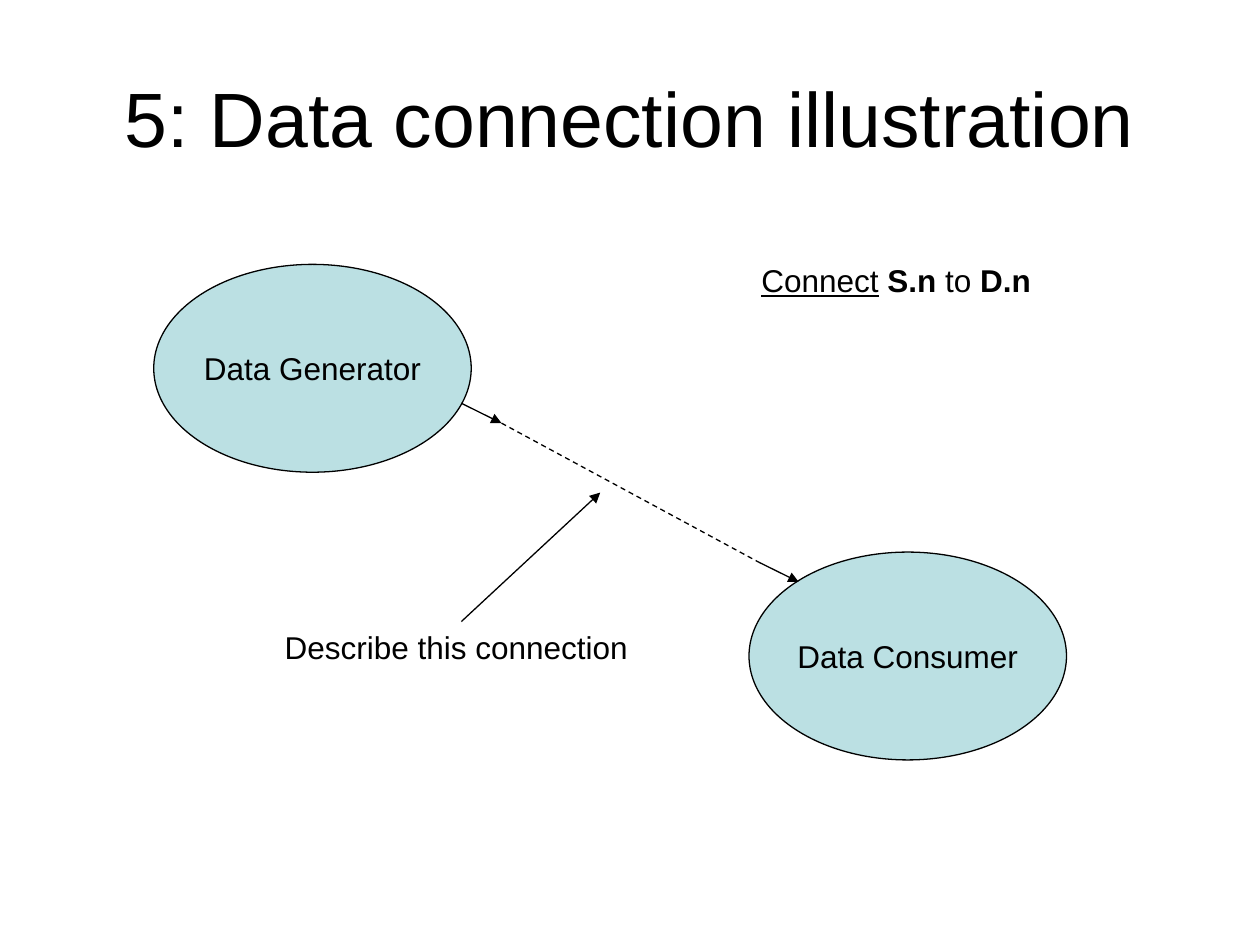
from itertools import pairwise

from lxml.etree import SubElement
from pptx import Presentation
from pptx.dml.color import RGBColor
from pptx.enum.dml import MSO_LINE
from pptx.enum.shapes import MSO_CONNECTOR, MSO_SHAPE
from pptx.enum.text import MSO_ANCHOR, PP_ALIGN
from pptx.oxml.ns import qn
from pptx.util import Cm, Pt

COLORS = {"ink": "000000", "node": "BBE0E3"}
FONT = "Arial"
NODE_SIZE = (6.4, 4.19)


def color(name):
    """Return the named palette colour."""
    return RGBColor.from_string(COLORS[name])


def write(frame, runs, size=18, align=PP_ALIGN.LEFT, anchor=MSO_ANCHOR.TOP, wrap=True):
    """Fill a text frame with (wording, style) runs."""
    frame.word_wrap = wrap
    frame.vertical_anchor = anchor
    paragraph = frame.paragraphs[0]
    paragraph.alignment = align
    for wording, style in runs:
        run = paragraph.add_run()
        run.text = wording
        font = run.font
        font.name, font.size = FONT, Pt(size)
        font.color.rgb = color("ink")
        font.bold = style == "bold"
        font.underline = style == "underline"


def add_label(slide, left, top, width, height, runs, **layout):
    """Place a text box of styled runs."""
    label = slide.shapes.add_textbox(Cm(left), Cm(top), Cm(width), Cm(height))
    write(label.text_frame, runs, **layout)


def add_node(slide, left, top, name):
    """Place a named ellipse."""
    node = slide.shapes.add_shape(
        MSO_SHAPE.OVAL, Cm(left), Cm(top), *map(Cm, NODE_SIZE)
    )
    node.shadow.inherit = False
    node.fill.solid()
    node.fill.fore_color.rgb = color("node")
    node.line.color.rgb = color("ink")
    node.line.width = Pt(0.75)
    write(node.text_frame, [(name, None)], align=PP_ALIGN.CENTER,
          anchor=MSO_ANCHOR.MIDDLE, wrap=False)


def add_link(slide, start, end, dashed=False):
    """Draw a dashed line, or a solid one ending in an arrowhead."""
    link = slide.shapes.add_connector(
        MSO_CONNECTOR.STRAIGHT, *map(Cm, (*start, *end))
    )
    link.line.color.rgb = color("ink")
    link.line.width = Pt(0.75)
    if dashed:
        link.line.dash_style = MSO_LINE.DASH
    else:
        SubElement(link.line._get_or_add_ln(), qn("a:tailEnd"), type="triangle")
    SubElement(link._element.spPr, qn("a:effectLst"))


def add_title(slide, left, top, width, height):
    """Place the slide title in its box."""
    add_label(slide, left, top, width, height,
              [("5: Data connection illustration", None)], size=44,
              align=PP_ALIGN.CENTER, anchor=MSO_ANCHOR.MIDDLE)


def add_diagram(slide, left, top):
    """Place the nodes, their connection and its labels from a corner."""
    def at(x, y):
        """Shift a point into the diagram."""
        return left + x, top + y

    add_node(slide, *at(12, 6), "Data Consumer")
    add_node(slide, *at(0, 0.2), "Data Generator")
    add_label(slide, *at(12, 0), 7.6, 1.02, [
        ("Connect", "underline"), (" ", None), ("S.n", "bold"),
        (" to ", None), ("D.n", "bold"),
    ])
    route = [at(6.2, 3), at(7.01, 3.4), at(12.19, 6.2), at(13, 6.6)]
    for section, (start, end) in enumerate(pairwise(route)):
        add_link(slide, start, end, dashed=section == 1)
    add_label(slide, *at(2.39, 7.4), 7.8, 1.02,
              [("Describe this connection", None)])
    add_link(slide, at(6.2, 7.4), at(9, 4.8))


def main():
    """Build and save the slide."""
    deck = Presentation()
    deck.slide_width, deck.slide_height = Cm(25.4), Cm(19.05)
    slide = deck.slides.add_slide(deck.slide_layouts[6])
    add_title(slide, 1.27, 0.76, 22.86, 3.18)
    add_diagram(slide, 3.1, 5.13)
    deck.save("out.pptx")


if __name__ == "__main__":
    main()
